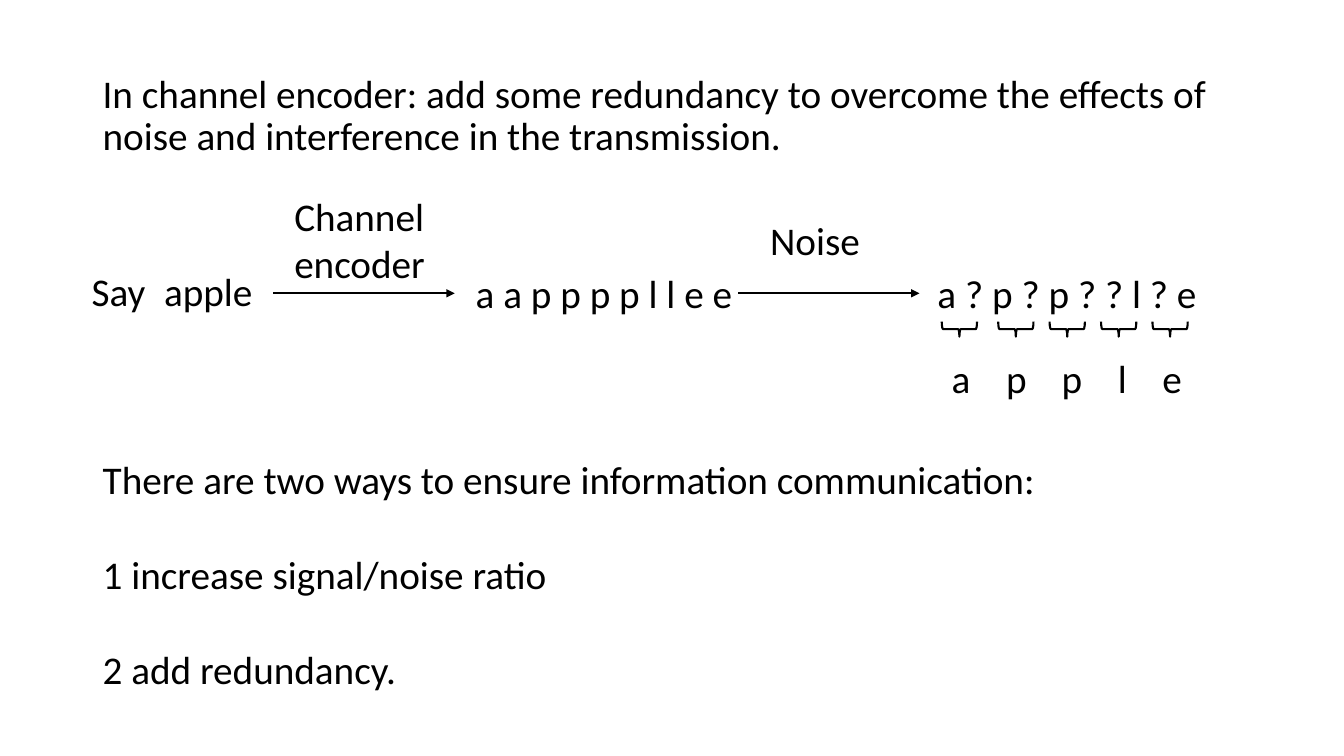
import lxml.etree
import pptx
import pptx.dml.color
import pptx.enum.shapes
import pptx.oxml.ns
import pptx.util

EMU_PER_PX = 9144  # 100 px to the inch
COLORS = {"ink": "000000", "background": "FFFFFF"}
FONT = {"name": "Calibri", "size": pptx.util.Pt(28)}
LINE_WIDTH = pptx.util.Pt(1.5)


def px(length):
    return pptx.util.Emu(length * EMU_PER_PX)


def color(name):
    return pptx.dml.color.RGBColor.from_string(COLORS[name])


def add_element(parent, tag, **attributes):
    element = lxml.etree.SubElement(parent, pptx.oxml.ns.qn(tag))
    for name, value in attributes.items():
        element.set(name, str(value))
    return element


class SlideBuilder:
    def __init__(self, presentation):
        self.slide = presentation.slides.add_slide(presentation.slide_layouts[6])
        fill = self.slide.background.fill
        fill.solid()
        fill.fore_color.rgb = color("background")

    def text(self, left, top, width, height, *lines, tabs=(), **spacing):
        """Add a text box with one paragraph a line; tabs are px from the text edge."""
        box = self.slide.shapes.add_textbox(px(left), px(top), px(width), px(height))
        frame = box.text_frame
        frame.word_wrap = True
        for index, line in enumerate(lines):
            paragraph = frame.paragraphs[0] if index == 0 else frame.add_paragraph()
            if tabs:
                tab_list = add_element(paragraph._p.get_or_add_pPr(), "a:tabLst")
                for position in tabs:
                    add_element(tab_list, "a:tab", pos=int(px(position)), algn="l")
            for name, value in spacing.items():
                if index > 0 or name != "space_before":
                    setattr(paragraph, name, value)
            run = paragraph.add_run()
            run.text = line
            for name, value in FONT.items():
                setattr(run.font, name, value)
            run.font.color.rgb = color("ink")

    def outline(self, line):
        line.color.rgb = color("ink")
        line.width = LINE_WIDTH

    def arrow(self, left, right, y):
        connector = self.slide.shapes.add_connector(
            pptx.enum.shapes.MSO_CONNECTOR.STRAIGHT, px(left), px(y), px(right), px(y))
        self.outline(connector.line)
        properties = connector._element.spPr
        add_element(properties.get_or_add_ln(), "a:tailEnd", type="triangle")
        add_element(properties, "a:effectLst")

    def brace_below(self, left, top, width, height):
        """Add a right brace turned to point down; the frame is the unturned one."""
        shape = self.slide.shapes.add_shape(
            pptx.enum.shapes.MSO_SHAPE.RIGHT_BRACE, px(left), px(top), px(width), px(height))
        shape.rotation = 90
        shape.shadow.inherit = False
        shape.fill.background()
        self.outline(shape.line)


def main():
    presentation = pptx.Presentation()
    presentation.slide_width, presentation.slide_height = px(1333), px(750)
    builder = SlideBuilder(presentation)

    builder.text(
        92, 69, 1150, 122,
        "In channel encoder: add some redundancy to overcome the effects of "
        "noise and interference in the transmission.", line_spacing=0.9)

    builder.text(81, 260, 257, 57, "Say\tapple", tabs=[72])
    for arrow_left in (271, 732):
        builder.arrow(arrow_left, arrow_left + 180, 291)
    builder.text(282, 186, 158, 104, "Channel encoder")
    builder.text(754, 210, 158, 57, "Noise")
    builder.text(462, 262, 314, 57, "a a p p p p l l e e")
    builder.text(920, 262, 314, 57, "a ? p ? p ? ? l ? e")

    for brace_left in (944, *range(1000, 1154, 51)):
        builder.brace_below(brace_left, 309, 15, 35)
    builder.text(934, 347, 257, 57, "\t".join("apple"), tabs=[54, 109, 165, 209])

    builder.text(
        92, 447, 1142, 246,
        "There are two ways to ensure information communication:",
        "1 increase signal/noise ratio",
        "2 add redundancy.", space_before=pptx.util.Pt(34))

    presentation.save("out.pptx")


if __name__ == "__main__":
    main()
